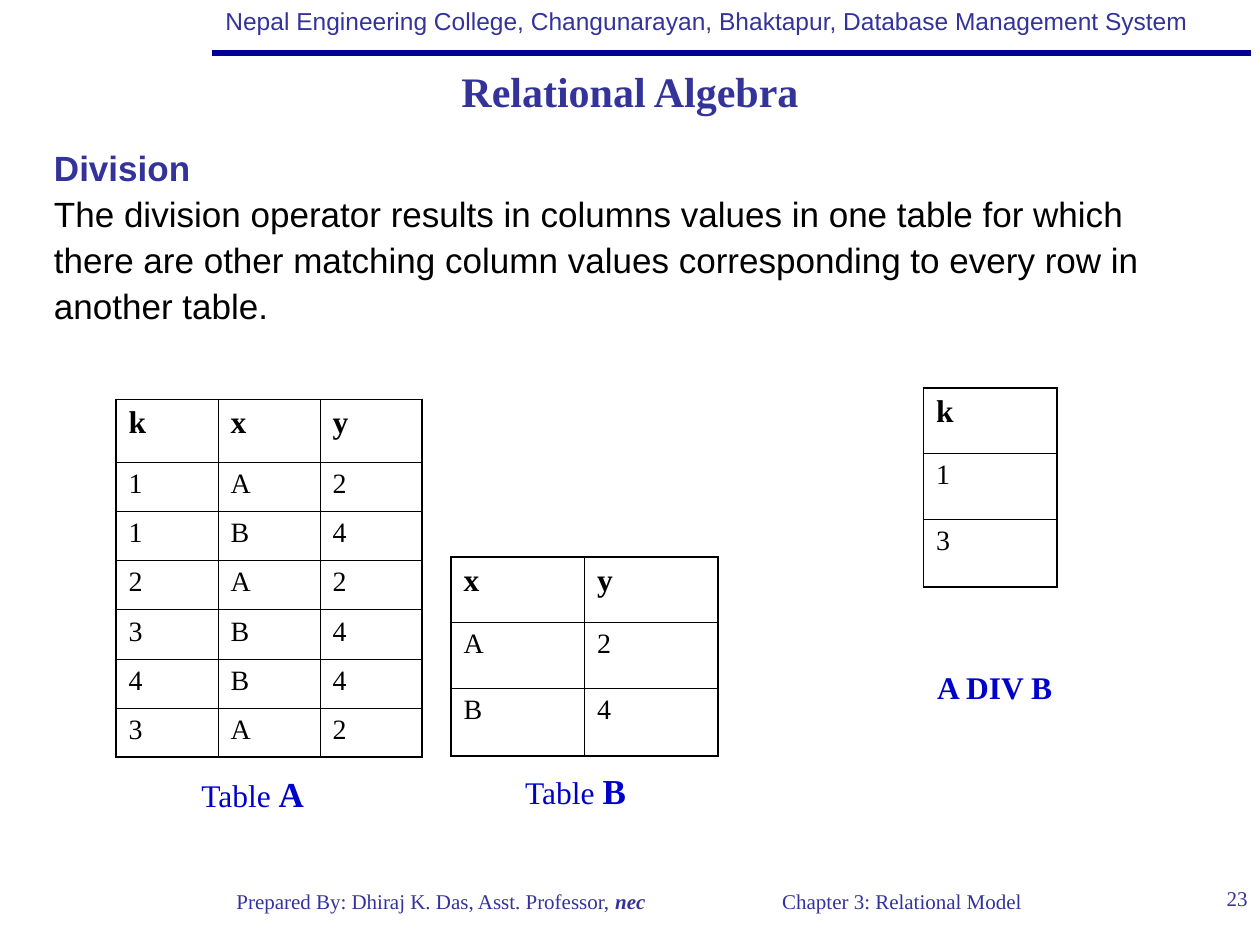
from lxml.etree import SubElement
from pptx import Presentation
from pptx.dml.color import RGBColor
from pptx.enum.shapes import MSO_CONNECTOR
from pptx.enum.text import MSO_ANCHOR, MSO_AUTO_SIZE, PP_ALIGN
from pptx.oxml.ns import qn
from pptx.util import Inches, Pt

NAVY, INDIGO, BLUE, BLACK = "000099", "333399", "0000CC", "000000"
SERIF, SANS = "Times New Roman", "Arial"
THICK, THIN = 1.08, 0.45
LEFT, CENTER, RIGHT = PP_ALIGN.LEFT, PP_ALIGN.CENTER, PP_ALIGN.RIGHT


def fmt(size, color, name=SERIF, **extra):
    return {"size": size, "color": color, "name": name, **extra}


FOOT = fmt(12, INDIGO)
LABEL = fmt(18, BLUE)
LETTER = fmt(20, BLUE, bold=True)
HEAD_CELL = fmt(18, BLACK, bold=True)
BODY_CELL = fmt(16, BLACK, bold=False)

TITLE = [[("Relational Algebra", fmt(24, INDIGO, bold=True))]]

# box (left, top, width, height), paragraphs of (text, format) runs, box options
TEXTS = [
    ((1.69, 0, 7.85, 0.34),
     [[("Nepal Engineering College, Changunarayan, Bhaktapur, Database Management System",
        fmt(14, INDIGO, SANS))]], {"grow": True}),
    ((1.42, 7, 4.16, 0.5),
     [[("Prepared By: Dhiraj K. Das, Asst. Professor, ", FOOT),
       ("nec", {**FOOT, "bold": True, "italic": True})]], {"align": CENTER}),
    ((5.08, 7, 4.16, 0.5), [[("Chapter 3: Relational Model", FOOT)]], {"align": CENTER}),
    ((9.42, 6.98, 0.58, 0.5), [[("23", FOOT)]], {"align": RIGHT, "wrap": True}),
    ((1.5, 6.08, 1.03, 0.44), [[("Table ", LABEL), ("A", LETTER)]], {"grow": True}),
    ((4.07, 6.06, 1.01, 0.44), [[("Table ", LABEL), ("B", LETTER)]], {"grow": True}),
    ((7.34, 5.25, 1.13, 0.4), [[("A DIV B", {**LABEL, "bold": True})]], {"grow": True}),
    ((0.33, 1.08, 8.92, 1.57),
     [[("Division", fmt(20, INDIGO, SANS, bold=True))],
      [("The division operator results in columns values in one table for which there are "
        "other matching column values corresponding to every row in another table.",
        fmt(20, BLACK, SANS))]],
     {"wrap": True, "grow": True, "spacing": 1.1}),
]

# left, top, column width, row heights, rows (one string of cell letters each)
TABLES = [
    (0.92, 3.17, 0.81, [0.5] + [0.39] * 6, ["kxy", "1A2", "1B4", "2A2", "3B4", "4B4", "3A2"]),
    (3.58, 4.42, 1.06, [0.52, 0.52, 0.54], ["xy", "A2", "B4"]),
    (7.33, 3.08, 1.06, [0.52, 0.52, 0.54], ["k", "1", "3"]),
]


def rgb(color):
    return RGBColor.from_string(color)


def fill_text(tf, paragraphs, align=LEFT, spacing=None):
    for i, runs in enumerate(paragraphs):
        p = tf.paragraphs[0] if i == 0 else tf.add_paragraph()
        p.alignment = align
        p.line_spacing = spacing
        for text, style in runs:
            r = p.add_run()
            r.text = text
            for key, value in style.items():
                if key == "color":
                    r.font.color.rgb = rgb(value)
                else:
                    setattr(r.font, key, Pt(value) if key == "size" else value)


def add_text(s, box, paragraphs, wrap=False, grow=False, **options):
    tf = s.shapes.add_textbox(*map(Inches, box)).text_frame
    tf.word_wrap = wrap
    tf.auto_size = MSO_AUTO_SIZE.SHAPE_TO_FIT_TEXT if grow else MSO_AUTO_SIZE.NONE
    fill_text(tf, paragraphs, **options)


def set_borders(cell, widths):
    """Draw the left, right, top and bottom edges; they must precede the cell fill."""
    tcPr = cell._tc.get_or_add_tcPr()
    for edge, width in zip("LRTB", widths):
        ln = SubElement(tcPr, qn(f"a:ln{edge}"), w=str(int(Pt(width))))
        SubElement(SubElement(ln, qn("a:solidFill")), qn("a:srgbClr"), val=BLACK)


def add_grid(s, left, top, col_width, heights, rows):
    n_rows, n_cols = len(rows), len(rows[0])
    frame = s.shapes.add_table(n_rows, n_cols, Inches(left), Inches(top),
                               Inches(col_width * n_cols), Inches(sum(heights)))
    table = frame.table
    table.first_row = table.horz_banding = False
    for col in table.columns:
        col.width = Inches(col_width)
    for i, (height, letters) in enumerate(zip(heights, rows)):
        table.rows[i].height = Inches(height)
        for j, letter in enumerate(letters):
            cell = table.cell(i, j)
            outer = (j == 0, j == n_cols - 1, i == 0, i == n_rows - 1)
            set_borders(cell, [THICK if edge else THIN for edge in outer])
            cell.fill.background()
            fill_text(cell.text_frame, [[(letter, BODY_CELL if i else HEAD_CELL)]])


def add_rule(s, x1, x2, y):
    line = s.shapes.add_connector(MSO_CONNECTOR.STRAIGHT, *map(Inches, (x1, y, x2, y)))
    line.line.color.rgb = rgb(NAVY)
    line.line.width = Pt(3)
    SubElement(line._element.spPr, qn("a:effectLst"))


def add_title(s):
    sp = s.shapes.title
    sp.left, sp.top, sp.width, sp.height = map(Inches, (0, 0.43, 10, 0.58))
    tf = sp.text_frame
    tf.auto_size = MSO_AUTO_SIZE.NONE
    tf.vertical_anchor = MSO_ANCHOR.MIDDLE
    fill_text(tf, TITLE, align=CENTER)


def main():
    prs = Presentation()
    prs.slide_width, prs.slide_height = Inches(10), Inches(7.5)
    s = prs.slides.add_slide(prs.slide_layouts[5])
    add_title(s)
    add_rule(s, 1.68, 9.93, 0.42)
    for box, paragraphs, options in TEXTS:
        add_text(s, box, paragraphs, **options)
    for grid in TABLES:
        add_grid(s, *grid)
    prs.save("out.pptx")


if __name__ == "__main__":
    main()
